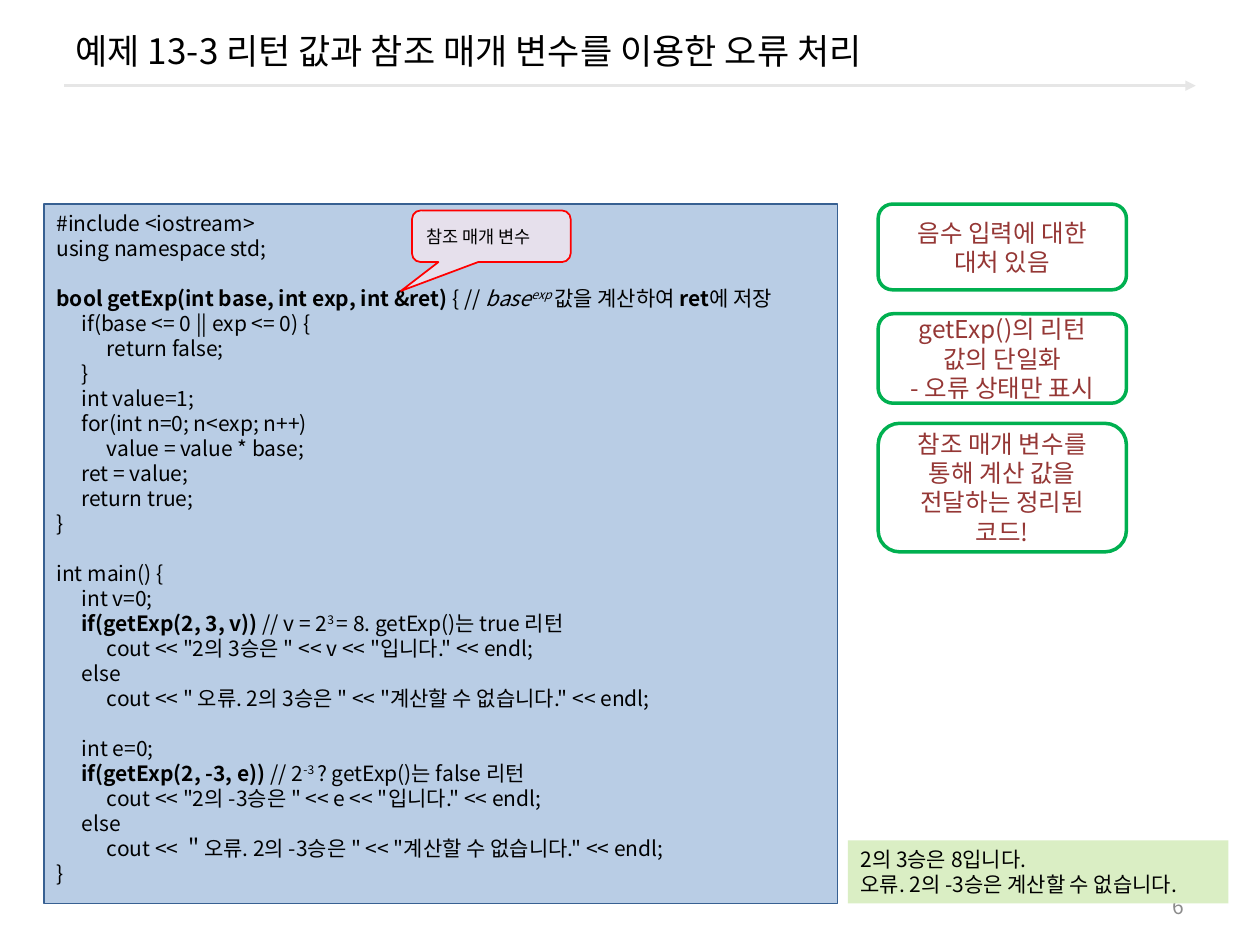
"""Build a slide on error handling with a return value and a reference parameter."""
from lxml.etree import SubElement
from pptx import Presentation
from pptx.dml.color import RGBColor
from pptx.enum.shapes import MSO_CONNECTOR, MSO_SHAPE
from pptx.enum.text import MSO_ANCHOR, PP_ALIGN
from pptx.oxml.ns import qn
from pptx.util import Inches, Pt

FONT = "Noto Sans CJK KR"
CELL = Inches(0.1)
COLUMNS, ROWS = 100, 75
LINE_RATIO = 1.19
TAB_STEP = Inches(0.2)

BLACK = RGBColor(0x00, 0x00, 0x00)
RULE_GRAY = RGBColor(0xE6, 0xE6, 0xE6)
NUMBER_GRAY = RGBColor(0x8C, 0x8C, 0x8C)
CODE_BLUE = RGBColor(0xB9, 0xCD, 0xE5)
CODE_EDGE = RGBColor(0x37, 0x60, 0x92)
OUTPUT_GREEN = RGBColor(0xDA, 0xEE, 0xC4)
CALLOUT_LILAC = RGBColor(0xE6, 0xE0, 0xEC)
CALLOUT_RED = RGBColor(0xFF, 0x00, 0x00)
NOTE_GREEN = RGBColor(0x00, 0xB0, 0x50)
NOTE_BROWN = RGBColor(0x95, 0x37, 0x35)

BOLD = {"bold": True}
ITALIC = {"italic": True}
RAISED = {"raised": True}

CODE_BLOCKS = [
    ["#include <iostream>", "using namespace std;"],
    [
        [("bool getExp(int base, int exp, int &ret) ", BOLD), ("{ // ", {}),
         ("base", ITALIC), ("exp ", ITALIC | RAISED),
         ("값을 계산하여 ", {}), ("ret", BOLD), ("에 저장", {})],
        "\tif(base <= 0 || exp <= 0) {",
        "\t\treturn false;",
        "\t}",
        "\tint value=1;",
        "\tfor(int n=0; n<exp; n++)",
        "\t\tvalue = value * base;",
        "\tret = value;",
        "\treturn true;",
        "}",
    ],
    [
        "int main() {",
        "\tint v=0;",
        [("\t", {}), ("if(getExp(2, 3, v)) ", BOLD), ("// v = 2", {}),
         ("3 ", RAISED), ("= 8. getExp()는 true 리턴", {})],
        '\t\tcout << "2의 3승은 " << v << "입니다." << endl;',
        "\telse",
        '\t\tcout << " 오류. 2의 3승은 " << "계산할 수 없습니다." << endl;',
    ],
    [
        "\tint e=0;",
        [("\t", {}), ("if(getExp(2, -3, e)) ", BOLD), ("// 2", {}),
         ("-3 ", RAISED), ("? getExp()는 false 리턴", {})],
        '\t\tcout << "2의 -3승은 " << e << "입니다." << endl;',
        "\telse",
        '\t\tcout << ＂오류. 2의 -3승은 " << "계산할 수 없습니다." << endl;',
        "}",
    ],
]
OUTPUT_LINES = ["2의 3승은 8입니다.", "오류. 2의 -3승은 계산할 수 없습니다."]
NOTES = [
    (16.2, 6.8, ["음수 입력에 대한 대처 있음"]),
    (24.9, 7.1, ["getExp()의 리턴 값의 단일화", "- 오류 상태만 표시"]),
    (33.6, 10.2, ["참조 매개 변수를 통해 계산 값을 전달하는 정리된 코드!"]),
]


def cells(*counts):
    """Turn grid counts into lengths."""
    return [int(count * CELL) for count in counts]


def apply(target, values):
    """Set each named attribute on the target."""
    for name, value in values.items():
        setattr(target, name, value)


def add_span(para, text, size, color, style):
    """Append one run with its character format."""
    span = para.add_run()
    span.text = text
    apply(span.font, {"name": FONT, "size": Pt(size),
                      "bold": style.get("bold", False),
                      "italic": style.get("italic", False)})
    span.font.color.rgb = color
    properties = span._r.get_or_add_rPr()
    SubElement(properties, qn("a:ea"), typeface=FONT)
    if style.get("raised"):
        properties.set("baseline", "30000")


def write_blocks(box, blocks, size=12, color=BLACK, align=PP_ALIGN.LEFT,
                 anchor=MSO_ANCHOR.TOP):
    """Write blocks of lines, with one line of space between blocks."""
    frame = box.text_frame
    apply(frame, {"word_wrap": True, "vertical_anchor": anchor})
    pitch = Pt(size * LINE_RATIO)
    lines = [(line, block_index > 0 and line_index == 0)
             for block_index, block in enumerate(blocks)
             for line_index, line in enumerate(block)]
    for index, (line, is_apart) in enumerate(lines):
        para = frame.add_paragraph() if index else frame.paragraphs[0]
        apply(para, {"alignment": align, "line_spacing": pitch,
                     "space_before": pitch if is_apart else Pt(0)})
        spans = [(line, {})] if isinstance(line, str) else line
        if spans[0][0].startswith("\t"):
            add_tab_stops(para)
        for text, style in spans:
            add_span(para, text, size, color, style)


def add_tab_stops(para):
    """Give a code line its two indent stops."""
    stops = SubElement(para._p.get_or_add_pPr(), qn("a:tabLst"))
    for level in (1, 2):
        SubElement(stops, qn("a:tab"), pos=str(level * TAB_STEP), algn="l")


def add_box(page, kind, place, fill=None, edge=None, edge_width=1):
    """Add a preset shape with a plain fill and outline."""
    box = page.shapes.add_shape(kind, *cells(*place))
    box.shadow.inherit = False
    if fill is None:
        box.fill.background()
    else:
        box.fill.solid()
        box.fill.fore_color.rgb = fill
    if edge is None:
        box.line.fill.background()
    else:
        box.line.color.rgb = edge
        box.line.width = Pt(edge_width)
    return box


def add_rule(page):
    """Add the arrow under the title."""
    rule = page.shapes.add_connector(MSO_CONNECTOR.STRAIGHT, *cells(5.1, 6.8, 94.9, 6.8))
    rule.line.color.rgb = RULE_GRAY
    rule.line.width = Pt(1.5)
    SubElement(rule.line._get_or_add_ln(), qn("a:tailEnd"), type="triangle")
    SubElement(rule._element.spPr, qn("a:effectLst"))


def add_title(page, text):
    """Place and fill the title placeholder."""
    title = page.shapes.title
    left, top, width, height = cells(5, 0.8, 90, 6.4)
    apply(title, {"left": left, "top": top, "width": width, "height": height})
    write_blocks(title, [[text]], size=20, anchor=MSO_ANCHOR.MIDDLE)


def add_callout(page, text):
    """Add the callout that points at the reference parameter."""
    callout = add_box(page, MSO_SHAPE.ROUNDED_RECTANGULAR_CALLOUT,
                      (32.7, 16.7, 12.6, 4.1), CALLOUT_LILAC, CALLOUT_RED)
    for index, value in enumerate((-0.57, 1.06, 0.17)):
        callout.adjustments[index] = value
    write_blocks(callout, [[text]], size=10, anchor=MSO_ANCHOR.MIDDLE)


def main():
    """Build and save the deck."""
    deck = Presentation()
    deck.slide_width, deck.slide_height = cells(COLUMNS, ROWS)
    page = deck.slides.add_slide(deck.slide_layouts[5])
    add_rule(page)
    add_title(page, "예제 13-3 리턴 값과 참조 매개 변수를 이용한 오류 처리")
    number = page.shapes.add_textbox(*cells(71.7, 70.3, 23.3, 3.2))
    write_blocks(number, [["6"]], color=NUMBER_GRAY, align=PP_ALIGN.RIGHT,
                 anchor=MSO_ANCHOR.MIDDLE)
    code = add_box(page, MSO_SHAPE.RECTANGLE, (3.5, 16.2, 63, 55.5),
                   CODE_BLUE, CODE_EDGE, 0.75)
    write_blocks(code, CODE_BLOCKS)
    output = add_box(page, MSO_SHAPE.RECTANGLE, (67.3, 66.7, 30.2, 5), OUTPUT_GREEN)
    write_blocks(output, [OUTPUT_LINES])
    add_callout(page, "참조 매개 변수")
    for top, height, lines in NOTES:
        note = add_box(page, MSO_SHAPE.ROUNDED_RECTANGLE, (69.7, top, 19.7, height),
                       edge=NOTE_GREEN, edge_width=2)
        write_blocks(note, [lines], size=14, color=NOTE_BROWN,
                     align=PP_ALIGN.CENTER, anchor=MSO_ANCHOR.MIDDLE)
    deck.save("out.pptx")


if __name__ == "__main__":
    main()
